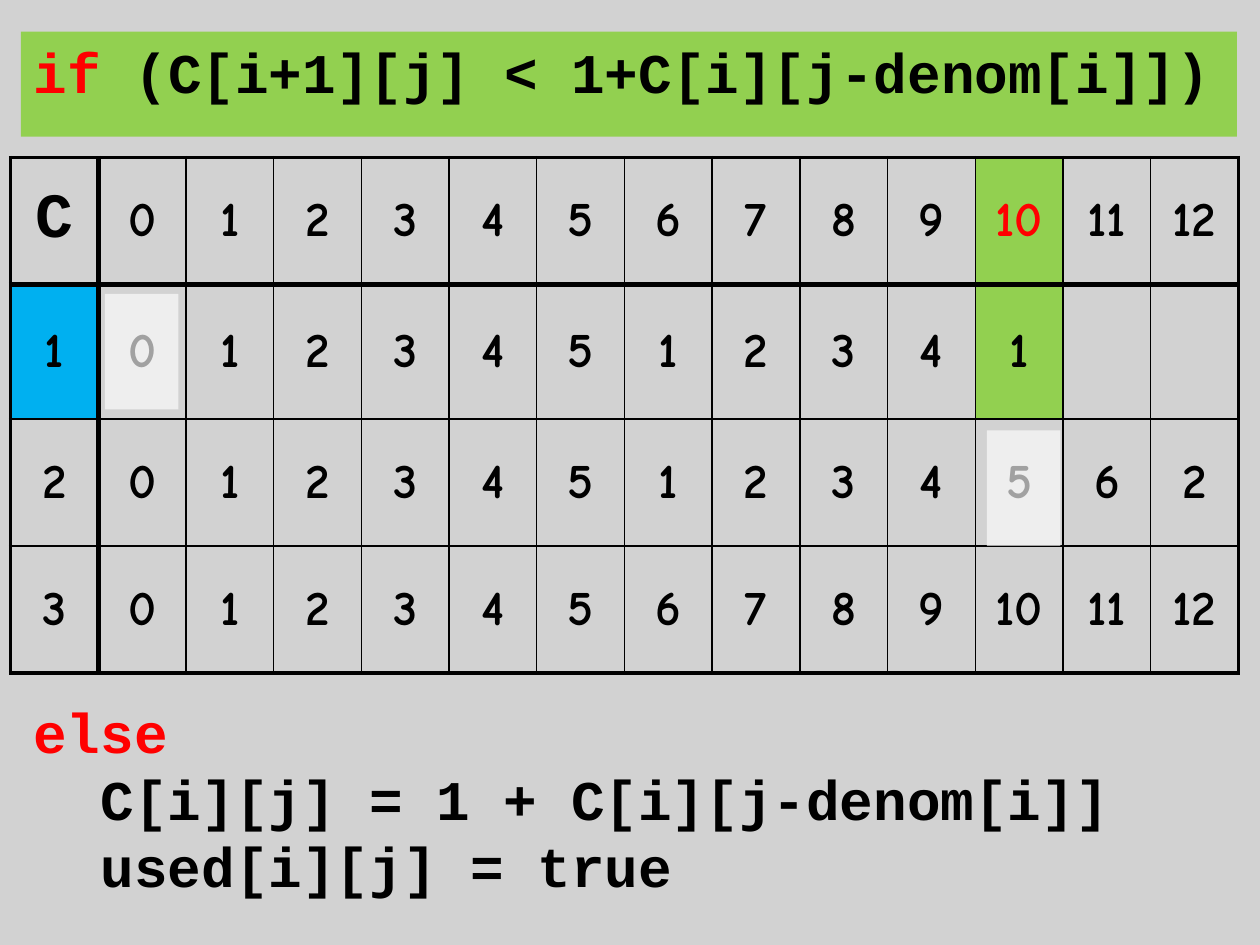
import dataclasses

import lxml.etree
import pptx
import pptx.dml.color
import pptx.enum.shapes
import pptx.enum.text
import pptx.oxml.ns
import pptx.util


@dataclasses.dataclass(frozen=True)
class Theme:
    black: str = "000000"
    white: str = "FFFFFF"
    grey: str = "C0C0C0"
    red: str = "FF0000"
    green: str = "92D050"
    blue: str = "00B0F0"
    code_font: str = "Courier New"
    cell_font: str = "Comic Neue"
    code_size: int = 32
    cell_size: int = 28
    corner_size: int = 36
    thin: float = 1
    outer: float = 2.25
    heavy: float = 3


THEME = Theme()
GRID_COLS, GRID_ROWS = 120, 90
UNIT = pptx.util.Inches(10) // GRID_COLS

ROW_HEIGHTS = [12.1, 12.8, 12.1, 12.1]
TABLE_WIDTH = 117
ROWS = [
    ["C", *range(13)],
    [1, 0, 1, 2, 3, 4, 5, 1, 2, 3, 4, 1, "", ""],
    [2, 0, 1, 2, 3, 4, 5, 1, 2, 3, 4, 5, 6, 2],
    [3, *range(13)],
]
CELL_FILLS = {(0, 11): THEME.green, (1, 11): THEME.green, (1, 0): THEME.blue}
CELL_COLORS = {(0, 11): THEME.red}


def units(*values):
    return [round(v * UNIT) for v in values]


def rgb(color):
    return pptx.dml.color.RGBColor.from_string(color)


def sub(parent, tag, **attrs):
    return lxml.etree.SubElement(parent, pptx.oxml.ns.qn(tag), attrs)


def style_font(font, name, size, color):
    font.name = name
    font.size = pptx.util.Pt(size)
    font.bold = True
    font.color.rgb = rgb(color)


def add_veil(s, box, color, opacity):
    sp = s.shapes.add_shape(pptx.enum.shapes.MSO_SHAPE.RECTANGLE, *units(*box))
    sp.shadow.inherit = False
    sp.line.fill.background()
    sp.fill.solid()
    sp.fill.fore_color.rgb = rgb(color)
    tint = sp.element.spPr.find(".//" + pptx.oxml.ns.qn("a:srgbClr"))
    sub(tint, "a:alpha", val=str(opacity * 1000))


def line_width(index, count):
    if index in (0, count):
        return THEME.outer
    return THEME.heavy if index == 1 else THEME.thin


def set_borders(cell, row, col):
    tc_pr = cell._tc.get_or_add_tcPr()
    n_rows, n_cols = len(ROWS), len(ROWS[0])
    widths = {
        "a:lnL": line_width(col, n_cols),
        "a:lnR": line_width(col + 1, n_cols),
        "a:lnT": line_width(row, n_rows),
        "a:lnB": line_width(row + 1, n_rows),
    }
    for tag, width in widths.items():
        ln = sub(tc_pr, tag, w=str(pptx.util.Pt(width)))
        sub(sub(ln, "a:solidFill"), "a:srgbClr", val=THEME.black)


def fill_cell(cell, row, col, value):
    set_borders(cell, row, col)
    if (row, col) in CELL_FILLS:
        cell.fill.solid()
        cell.fill.fore_color.rgb = rgb(CELL_FILLS[row, col])
    else:
        cell.fill.background()
    cell.vertical_anchor = pptx.enum.text.MSO_ANCHOR.MIDDLE
    p = cell.text_frame.paragraphs[0]
    p.text = str(value)
    p.alignment = pptx.enum.text.PP_ALIGN.CENTER
    color = CELL_COLORS.get((row, col), THEME.black)
    if value == "C":
        style_font(p.font, THEME.code_font, THEME.corner_size, color)
    else:
        style_font(p.font, THEME.cell_font, THEME.cell_size, color)


def add_cost_table(s, left, top):
    n_cols = len(ROWS[0])
    box = units(left, top, TABLE_WIDTH, sum(ROW_HEIGHTS))
    table = s.shapes.add_table(len(ROWS), n_cols, *box).table
    table.first_row = table.horz_banding = False
    for column in table.columns:
        column.width = box[2] // n_cols
    for row, height in zip(table.rows, units(*ROW_HEIGHTS)):
        row.height = height
    for r, values in enumerate(ROWS):
        for c, value in enumerate(values):
            fill_cell(table.cell(r, c), r, c, value)


def add_condition(s, box):
    sp = s.shapes.title
    sp.element.getparent().append(sp.element)
    sp.left, sp.top, sp.width, sp.height = units(*box)
    sp.fill.solid()
    sp.fill.fore_color.rgb = rgb(THEME.green)
    tf = sp.text_frame
    tf.vertical_anchor = pptx.enum.text.MSO_ANCHOR.TOP
    tf.auto_size = pptx.enum.text.MSO_AUTO_SIZE.SHAPE_TO_FIT_TEXT
    p = tf.paragraphs[0]
    p.alignment = pptx.enum.text.PP_ALIGN.LEFT
    parts = [("if ", THEME.red), ("(C[i+1][j] < 1+C[i][j-denom[i]])", THEME.black)]
    for text, color in parts:
        r = p.add_run()
        r.text = text
        style_font(r.font, THEME.code_font, THEME.code_size, color)


def add_code(s, box, lines):
    tf = s.shapes.add_textbox(*units(*box)).text_frame
    tf.word_wrap = True
    tf.auto_size = pptx.enum.text.MSO_AUTO_SIZE.SHAPE_TO_FIT_TEXT
    for i, (text, color) in enumerate(lines):
        p = tf.add_paragraph() if i else tf.paragraphs[0]
        p.text = text
        style_font(p.font, THEME.code_font, THEME.code_size, color)


def main():
    prs = pptx.Presentation()
    prs.slide_width, prs.slide_height = units(GRID_COLS, GRID_ROWS)
    s = prs.slides.add_slide(prs.slide_layouts.get_by_name("Title Only"))
    add_veil(s, (0, 0, GRID_COLS, GRID_ROWS), THEME.grey, 70)
    add_cost_table(s, 1, 15)
    for left, top in [(94, 41), (10, 28)]:
        add_veil(s, (left, top, 7, 11), THEME.white, 63)
    add_condition(s, (2, 3, 115.8, 7.68))
    add_code(s, (2, 65.8, 106, 20.6), [
        ("else", THEME.red),
        ("  C[i][j] = 1 + C[i][j-denom[i]]", THEME.black),
        ("  used[i][j] = true", THEME.black),
    ])
    prs.save("out.pptx")


if __name__ == "__main__":
    main()
